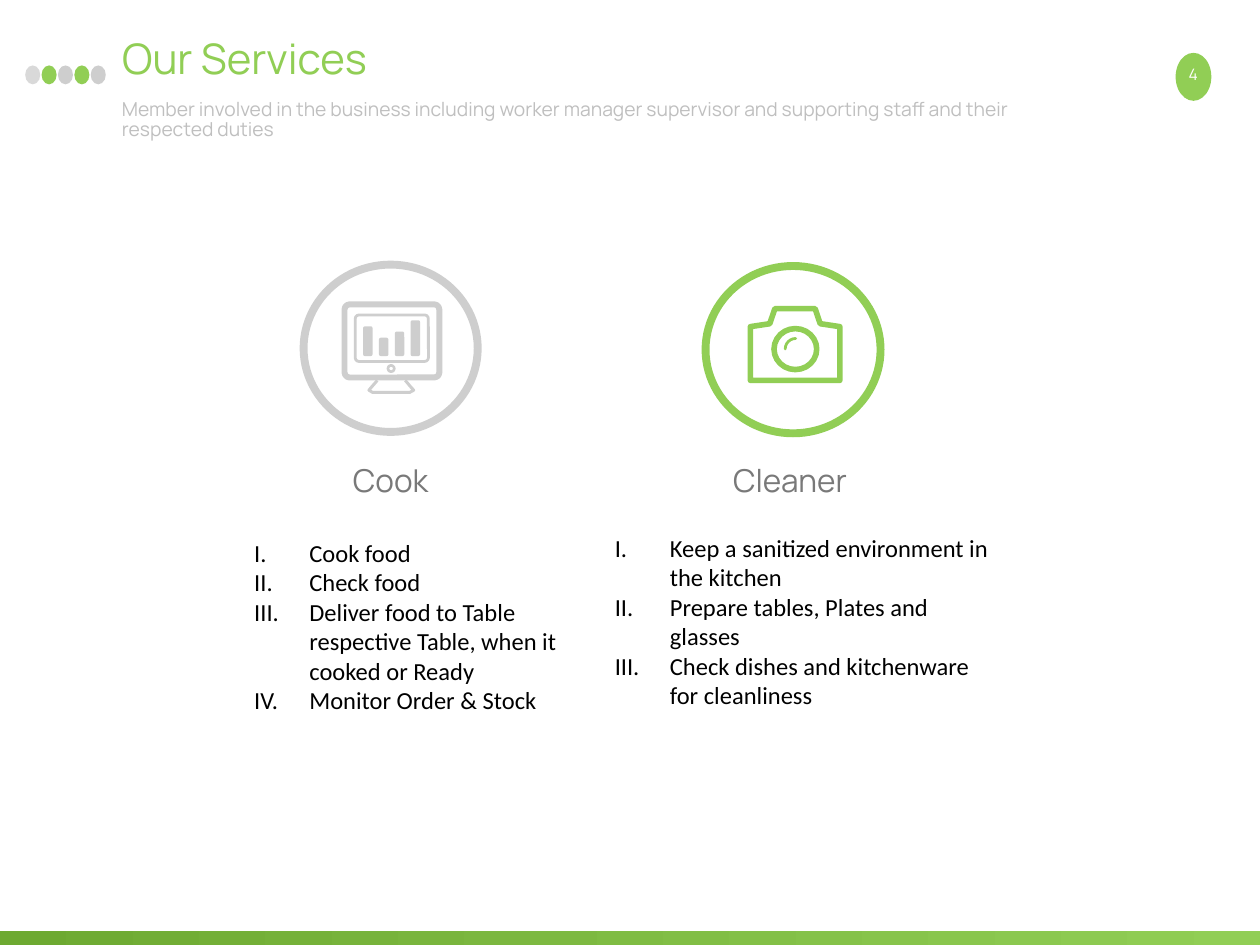
from dataclasses import dataclass
from typing import Any

from lxml.etree import SubElement
from pptx import Presentation
from pptx.dml.color import RGBColor
from pptx.enum.shapes import MSO_SHAPE
from pptx.enum.text import MSO_ANCHOR, MSO_AUTO_SIZE, PP_ALIGN
from pptx.oxml.ns import qn
from pptx.util import Pt

GREEN, DARK, GREY, PALE = "91CE55", "6DA931", "CECECE", "D9D9D9"


@dataclass
class Box:
    x: float
    y: float
    w: float
    h: float

    def lengths(self) -> tuple:
        return Pt(self.x), Pt(self.y), Pt(self.w), Pt(self.h)


@dataclass
class Role:
    name: str
    tint: str
    ring: Box
    head: Box
    body: Box
    tasks: list[str]


def hue(code: str) -> RGBColor:
    return RGBColor.from_string(code)


def paint(shape: Any, fill: str = "", line: str = "", width: float = 1) -> Any:
    shape.shadow.inherit = False
    if fill:
        shape.fill.solid()
        shape.fill.fore_color.rgb = hue(fill)
    else:
        shape.fill.background()
    if line:
        shape.line.color.rgb = hue(line)
        shape.line.width = Pt(width)
    else:
        shape.line.fill.background()
    return shape


def draw(slide: Any, kind: MSO_SHAPE, box: Box, bend: float = 0, **style: Any) -> Any:
    shape = slide.shapes.add_shape(kind, *box.lengths())
    if bend:
        shape.adjustments[0] = bend
    return paint(shape, **style)


def trace(slide: Any, spots: list[tuple], close: bool, tint: str, width: float) -> None:
    pen = [(Pt(x), Pt(y)) for x, y in spots]
    path = slide.shapes.build_freeform(*pen[0], scale=1.0)
    path.add_line_segments(pen[1:], close=close)
    shape = paint(path.convert_to_shape(), line=tint, width=width)
    SubElement(shape.line._get_or_add_ln(), qn("a:round"))


def write(slide: Any, text: str | list[str], box: Box, size: float, tint: str,
          font: str = "Manrope", align: PP_ALIGN = PP_ALIGN.LEFT,
          anchor: MSO_ANCHOR = MSO_ANCHOR.TOP, space: float = 1,
          roman: bool = False, holder: Any = None) -> None:
    shape = holder or slide.shapes.add_textbox(*box.lengths())
    shape.left, shape.top, shape.width, shape.height = box.lengths()
    frame = shape.text_frame
    frame.word_wrap = True
    frame.auto_size = MSO_AUTO_SIZE.NONE
    frame.vertical_anchor = anchor
    lines = [text] if isinstance(text, str) else text
    for i, line in enumerate(lines):
        para = frame.paragraphs[0] if i == 0 else frame.add_paragraph()
        para.alignment = align
        para.line_spacing = space
        run = para.add_run()
        run.text = line
        run.font.name = font
        run.font.size = Pt(size)
        run.font.color.rgb = hue(tint)
        if roman:
            props = para._p.get_or_add_pPr()
            props.set("marL", str(Pt(31.5)))
            props.set("indent", str(Pt(-31.5)))
            SubElement(props, qn("a:buFont"), typeface="+mj-lt")
            SubElement(props, qn("a:buAutoNum"), type="romanUcPeriod")


def screen(slide: Any, tint: str) -> None:
    trace(slide, [(215.6, 217.4), (212.5, 221), (210.8, 223), (213, 224.3),
                  (234, 224.3), (236.4, 223), (234.6, 221), (231.6, 217.4)],
          False, tint, 1.7)
    frame = MSO_SHAPE.ROUNDED_RECTANGLE
    draw(slide, frame, Box(196.9, 173.9, 54.2, 41.8), 0.07, line=tint, width=3.4)
    draw(slide, frame, Box(203, 180, 41.8, 26.6), 0.08, line=tint, width=1.6)
    draw(slide, MSO_SHAPE.OVAL, Box(221.7, 208.8, 3.6, 3.6), line=tint, width=1.5)
    for i, tall in enumerate([17, 10.5, 14, 20.5]):
        draw(slide, frame, Box(207.5 + 9.05 * i, 203.5 - tall, 5.4, tall), 0.2, fill=tint)


def camera(slide: Any, tint: str) -> None:
    trace(slide, [(428.8, 186.7), (439.9, 185), (442.8, 176.4), (465.8, 176.4),
                  (468.7, 185), (479.9, 186.7), (479.9, 217.4), (428.8, 217.4)],
          True, tint, 3.2)
    draw(slide, MSO_SHAPE.OVAL, Box(442.3, 187.8, 24.4, 23.4), line=tint, width=3.2)
    glint = draw(slide, MSO_SHAPE.ARC, Box(448.7, 193.4, 12, 12), line=tint, width=1.6)
    glint.rotation = 270
    glint.line._get_or_add_ln().set("cap", "rnd")


def frame(slide: Any) -> None:
    for i, tint in enumerate([PALE, GREEN, GREY, GREEN, GREY]):
        draw(slide, MSO_SHAPE.OVAL, Box(14.4 + 9.36 * i, 37.4, 8.6, 10.8), fill=tint)
    draw(slide, MSO_SHAPE.OVAL, Box(671.8, 30.2, 20.4, 27.4), fill=GREEN)
    bar = draw(slide, MSO_SHAPE.RECTANGLE, Box(0, 532, 720, 8), fill=GREEN)
    bar.fill.gradient()
    bar.fill.gradient_angle = 0
    for stop, tint in zip(bar.fill.gradient_stops, [DARK, GREEN]):
        stop.color.rgb = hue(tint)
    write(slide, "Our Services", Box(62.6, 15.1, 574, 57.6), 24, GREEN,
          holder=slide.shapes.title)
    write(slide, "Member involved in the business including worker manager supervisor "
          "and supporting staff and their respected duties",
          Box(62.6, 54, 574, 31), 11, "BFBFBF", space=0.87)
    write(slide, "4", Box(666, 28, 31.7, 28.8), 9, "FFFFFF",
          align=PP_ALIGN.CENTER, anchor=MSO_ANCHOR.MIDDLE)


def present(slide: Any, role: Role) -> None:
    draw(slide, MSO_SHAPE.OVAL, role.ring, line=role.tint, width=4.5)
    write(slide, role.name, role.head, 18, "797979", align=PP_ALIGN.CENTER)
    write(slide, role.tasks, role.body, 14, "000000", font="Calibri", roman=True)


def main() -> None:
    deck = Presentation()
    deck.slide_width, deck.slide_height = Pt(720), Pt(540)
    slide = deck.slides.add_slide(deck.slide_layouts[5])
    frame(slide)
    cook = Role("Cook ", GREY, Box(173.5, 151.2, 99.5, 95.6), Box(162, 260, 126, 29),
                Box(138.2, 303.8, 207.4, 143.3),
                ["Cook food", "Check food",
                 "Deliver food to Table respective Table, when it cooked or Ready",
                 "Monitor Order & Stock"])
    clean = Role("Cleaner ", GREEN, Box(403.2, 152, 100, 95.6), Box(390.2, 260, 126, 29),
                 Box(344.2, 301, 231.8, 143.3),
                 ["Keep a sanitized environment in the kitchen",
                  "Prepare tables, Plates and glasses",
                  "Check dishes and kitchenware for cleanliness"])
    for role, icon in [(cook, screen), (clean, camera)]:
        present(slide, role)
        icon(slide, role.tint)
    deck.save("out.pptx")


if __name__ == "__main__":
    main()
